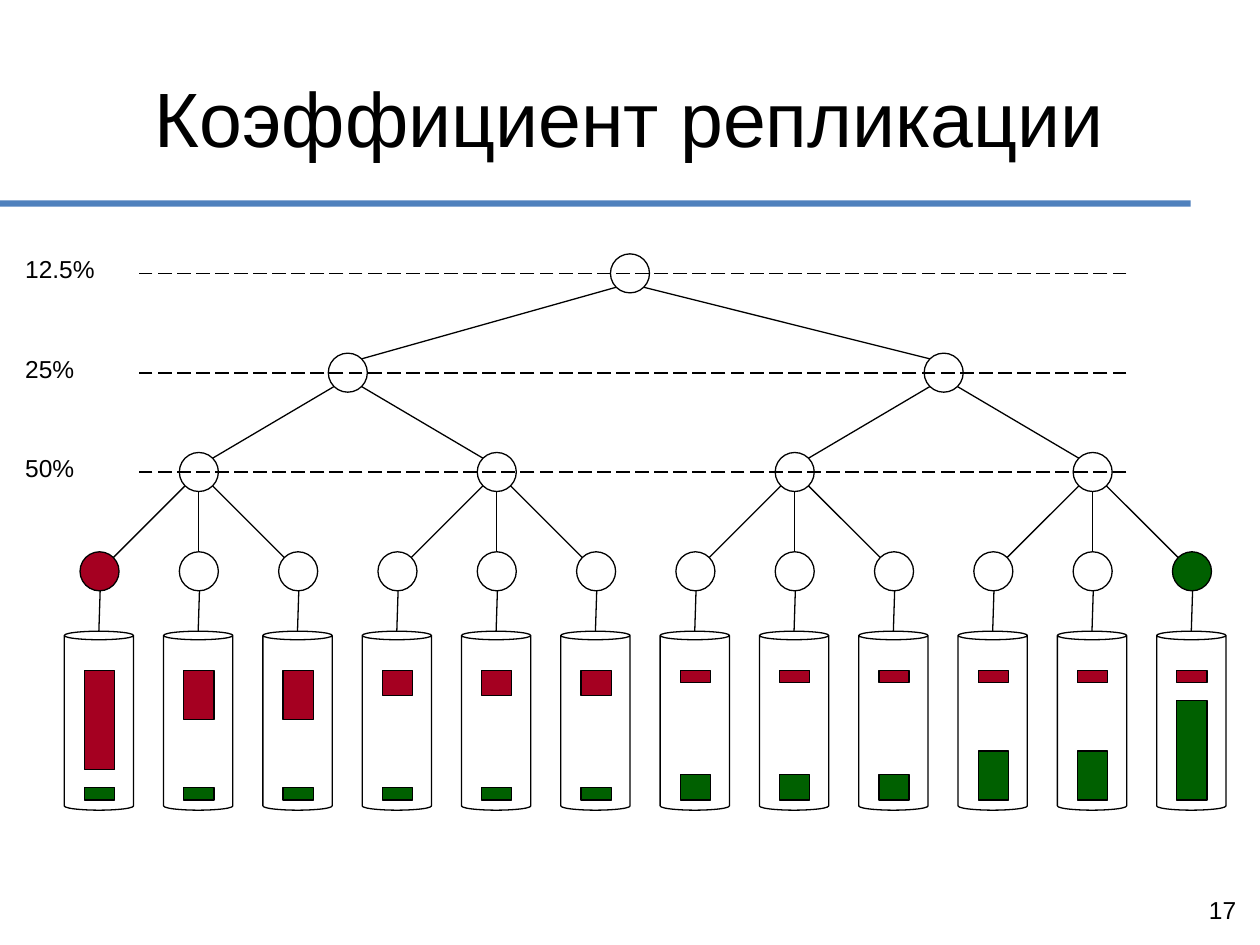
from pptx import Presentation
from pptx.dml.color import RGBColor
from pptx.enum.dml import MSO_LINE
from pptx.enum.shapes import MSO_CONNECTOR, MSO_SHAPE
from pptx.enum.text import MSO_ANCHOR, PP_ALIGN
from pptx.oxml.ns import qn
from pptx.util import Inches, Pt
from lxml import etree

BLACK, BLUE, RED, GREEN = "000000", "4F81BD", "A50021", "006000"
COUNT = 12
STEP = 8.67 / (COUNT - 1)  # gap between leaves and between tree levels
NODE = 0.31
DIAG = 0.11  # offset of a slanted edge from the node centre
SHARES = [0.79] + [0.39] * 2 + [0.2] * 3 + [0.1] * 6


def color(text):
    return RGBColor.from_string(text)


def add_shape(slide, kind, box, fill=None, line=BLACK):
    shape = slide.shapes.add_shape(kind, *map(Inches, box))
    shape.shadow.inherit = False
    if fill:
        shape.fill.solid()
        shape.fill.fore_color.rgb = color(fill)
    else:
        shape.fill.background()
    if line:
        shape.line.color.rgb = color(line)
        shape.line.width = Pt(0.75)
    else:
        shape.line.fill.background()
    return shape


def add_line(slide, start, end, width=0.75, dash=None):
    line = slide.shapes.add_connector(
        MSO_CONNECTOR.STRAIGHT, *map(Inches, (*start, *end)))
    line.line.color.rgb = color(BLACK)
    line.line.width = Pt(width)
    if dash:
        line.line.dash_style = dash
    etree.SubElement(line._element.spPr, qn("a:effectLst"))


def add_text(slide, box, text, size, align=PP_ALIGN.LEFT,
             anchor=MSO_ANCHOR.TOP, inset=(0, 0)):
    frame = slide.shapes.add_textbox(*map(Inches, box)).text_frame
    frame.word_wrap = True
    frame.vertical_anchor = anchor
    frame.margin_left = frame.margin_right = Inches(inset[0])
    frame.margin_top = frame.margin_bottom = Inches(inset[1])
    para = frame.paragraphs[0]
    para.alignment = align
    run = para.add_run()
    run.text = text
    run.font.size = Pt(size)
    run.font.name = "Arial"
    run.font.color.rgb = color(BLACK)


def add_head(slide, box):
    left, top, width, height = box
    add_text(slide, box, "Коэффициент репликации", 44, PP_ALIGN.CENTER,
             MSO_ANCHOR.MIDDLE, (0.1, 0.05))
    # Rule under the title, from the slide edge
    add_shape(slide, MSO_SHAPE.RECTANGLE,
              (0, top + height + 0.04, left + width - 0.05, 0.05), BLUE, None)


def add_node(slide, x, y, fill=None):
    add_shape(slide, MSO_SHAPE.OVAL,
              (x - NODE / 2, y - NODE / 2, NODE, NODE), fill)


def add_edge(slide, start, end):
    (x1, y1), (x2, y2) = start, end
    if abs(x1 - x2) < 0.01:
        add_line(slide, (x1, y1 + NODE / 2), (x2, y2 - NODE / 2))
    else:
        side = DIAG if x2 > x1 else -DIAG
        add_line(slide, (x1 + side, y1 + DIAG), (x2 - side, y2 - DIAG))


def add_tree(slide, box):
    left, top = box[:2]

    def place(col, row):
        return left + col * STEP, top + row * STEP

    root = (5, top)
    halves = [place(col, 1) for col in (2.5, 8.5)]
    groups = [place(col, 2) for col in range(1, COUNT, 3)]
    leaves = [place(col, 3) for col in range(COUNT)]

    # Edges from each level to the next
    levels = [[root], halves, groups, leaves]
    for upper, lower in zip(levels, levels[1:]):
        share = len(lower) // len(upper)
        for i, child in enumerate(lower):
            add_edge(slide, upper[i // share], child)

    # Nodes; the first and last leaves are marked
    fills = {leaves[0]: RED, leaves[-1]: GREEN}
    for level in levels:
        for node in level:
            add_node(slide, *node, fills.get(node))


def add_levels(slide, box):
    left, top, width = box[:3]
    for i, label in enumerate(("12.5%", "25%", "50%")):
        y = top + i * STEP
        add_text(slide, (0.2, y - 0.15, 0.6, 0.23), label, 14)
        add_line(slide, (left + width, y), (left, y), 1, MSO_LINE.LONG_DASH)


def add_store(slide, box, red, green):
    left, top, width, height = box
    can = add_shape(slide, MSO_SHAPE.CAN, box)
    can.adjustments[0] = 0.123
    # Stem up to the leaf above
    mid = left + width / 2
    add_line(slide, (mid + 0.01, top - 0.32), (mid, top))
    # Red share hangs from the top, green share stands at the bottom
    for y, size, fill in ((top + 0.31, red, RED),
                          (top + height - 0.08 - green, green, GREEN)):
        add_shape(slide, MSO_SHAPE.RECTANGLE,
                  (left + 0.16, y, 0.24, size), fill)


def add_stores(slide, box):
    left, top, width, height = box
    for i, (red, green) in enumerate(zip(SHARES, reversed(SHARES))):
        add_store(slide, (left + i * STEP, top, width, height), red, green)


def main():
    deck = Presentation()
    deck.slide_width, deck.slide_height = Inches(10), Inches(7.5)
    slide = deck.slides.add_slide(deck.slide_layouts[6])
    add_head(slide, (0.5, 0.3, 9, 1.25))
    add_tree(slide, (0.79, 2.17, 8.67, 2.36))
    add_stores(slide, (0.51, 5.01, 0.55, 1.42))
    add_levels(slide, (1.06, 2.17, 7.88, 1.57))
    # Page number
    add_text(slide, (7.58, 7.02, 2.33, 0.4), "17", 14, PP_ALIGN.RIGHT,
             MSO_ANCHOR.MIDDLE, (0.1, 0.05))
    deck.save("out.pptx")


if __name__ == "__main__":
    main()
